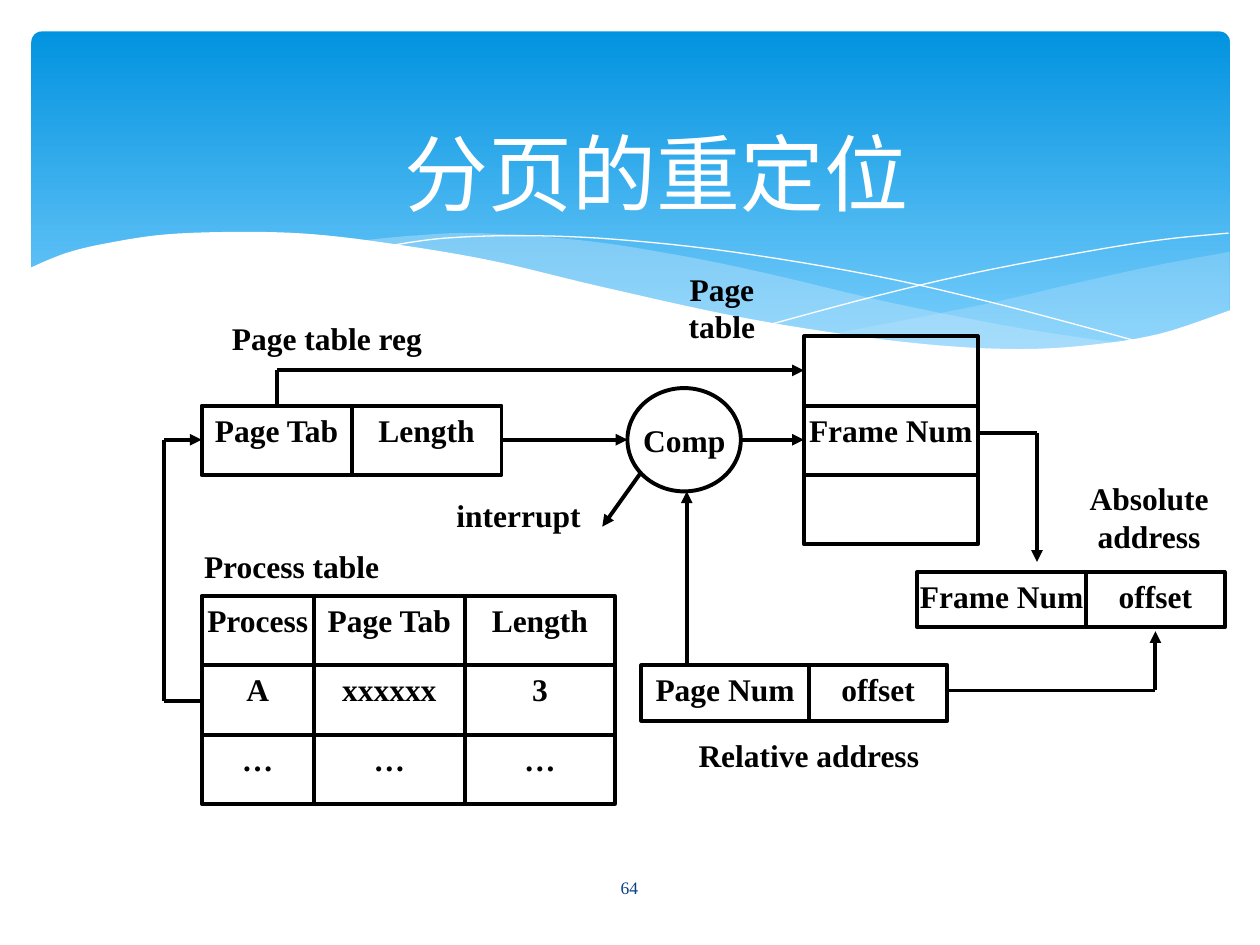
"""Build the slide that shows address relocation under paging."""
from dataclasses import dataclass
from itertools import accumulate
from typing import Optional

from lxml.etree import SubElement
from pptx import Presentation
from pptx.dml.color import RGBColor
from pptx.enum.shapes import MSO_CONNECTOR, MSO_SHAPE
from pptx.enum.text import MSO_ANCHOR, PP_ALIGN
from pptx.oxml.ns import qn
from pptx.util import Inches, Pt

BLACK = RGBColor(0x00, 0x00, 0x00)
WHITE = RGBColor(0xFF, 0xFF, 0xFF)
NAVY = RGBColor(0x07, 0x3E, 0x87)
SKY_TOP = RGBColor(0x02, 0x93, 0xE0)
SKY_BOTTOM = RGBColor(0x83, 0xD3, 0xFE)
MIST = RGBColor(0xC6, 0xE7, 0xFC)

WIDTH, HEIGHT = Inches(10), Inches(7.5)
COLS = 100
UNIT = WIDTH / COLS
ROW = 5.5
STEPS = 6

LABEL = {"size": Pt(18), "bold": True, "name": "Times New Roman"}
TITLE = {"size": Pt(48), "bold": False, "name": "Times New Roman"}
NUMBER = {"size": Pt(10), "bold": False, "name": "Times New Roman"}

Point = tuple[float, float]


@dataclass(frozen=True)
class Wave:
    """A curved outline, given as edges of knots that meet in corners."""
    edges: tuple[tuple[Point, ...], ...]
    fill: Optional[RGBColor] = None
    opacity: int = 100


@dataclass(frozen=True)
class Grid:
    """A block of bordered cells with shared column widths and row height."""
    left: float
    top: float
    widths: tuple[float, ...]
    height: float
    rows: tuple[tuple[str, ...], ...]


@dataclass(frozen=True)
class Label:
    """Free text in a box."""
    text: str
    left: float
    top: float
    width: float
    height: float


WAVES = (
    Wave((((97.5, 20), (92.1, 21), (86.1, 22.3), (77.9, 24.2), (66.1, 26.5)),
          ((66.1, 26.5), (73.2, 27.4), (80.3, 27.8), (87.2, 27.4),
           (92.8, 26.3), (97.6, 24.7)),
          ((97.6, 24.7), (97.6, 20))), MIST, 29),
    Wave((((89.3, 27.3), (80.7, 26), (70.6, 24), (61.3, 21.8), (54.1, 20.3),
           (46.4, 19.1), (38, 18.5), (32.8, 18.7), (28.6, 19.1)),
          ((28.6, 19.1), (36.2, 20.3), (44.9, 22.2), (56.6, 24.8),
           (65, 26.4), (73.6, 27.5), (81.8, 27.9), (89.3, 27.3))), MIST, 40),
    Wave((((30.9, 19.5), (35.3, 18.9), (41.6, 18.7), (48.9, 19),
           (58.2, 20), (69.5, 21.9), (79.5, 24.2), (90.7, 27.2)),)),
    Wave((((61.3, 25.7), (69.5, 23.5), (77.6, 21.6), (86.6, 19.9),
           (92.4, 19), (97.5, 18.5)),)),
    Wave((((97.7, 24.6), (92, 26.5), (86.3, 27.4), (80.9, 27.7),
           (74.4, 27.4), (66.8, 26.5), (57.9, 25), (47.5, 22.7),
           (39.1, 20.7), (31.5, 19.4), (25, 18.6), (19.3, 18.4),
           (13.2, 18.6), (8.5, 19.3), (5.2, 20.1), (2.3, 21.3)),
          ((2.3, 21.3), (2.3, 32.9)),
          ((2.3, 32.9), (97.7, 32.9))), WHITE),
)

GRIDS = (
    Grid(16, 32.2, (11.9, 11.9), ROW, (("Page Tab", "Length"),)),
    Grid(16, 47.3, (8.9, 12, 11.9), ROW,
         (("Process", "Page Tab", "Length"),
          ("A", "xxxxxx", "3"),
          ("…", "…", "…"))),
    Grid(63.8, 26.7, (13.8,), ROW, (("",), ("Frame Num",), ("",))),
    Grid(50.9, 52.8, (13.3, 11), 4.4, (("Page Num", "offset"),)),
    Grid(72.8, 45.4, (13.4, 11), 4.4, (("Frame Num", "offset"),)),
)

LABELS = (
    Label("Process table", 16, 43, 14.3, 2.8),
    Label("Comp", 50.7, 33, 7.2, 4.2),
    Label("Page table", 52.8, 21, 9, 7.9),
    Label("Page table reg", 16, 24.9, 19.9, 3.1),
    Label("Relative address", 51.6, 58, 25.2, 3.9),
    Label("interrupt", 35.4, 39, 11.5, 5.5),
    Label("Absolute\naddress", 83.9, 37.6, 14.6, 5.5),
)

ROUTES = (
    ((54.5, 52.8), (54.5, 39)),
    ((39.9, 34.9), (49.8, 34.9)),
    ((58.8, 34.9), (63.8, 34.9)),
    ((77.6, 34.4), (82.3, 34.4), (82.3, 44.6)),
    ((75.2, 54.8), (91.7, 54.8), (91.7, 50.1)),
    ((22, 32.2), (22, 29.4), (63.8, 29.4)),
    ((16, 55.6), (13, 55.6), (13, 34.9), (16, 34.9)),
    ((50.8, 37.6), (47.8, 41.8)),
)


def emu(*lengths: float) -> list[int]:
    """Turn grid units into slide lengths."""
    return [round(n * UNIT) for n in lengths]


def curve(knots: tuple[Point, ...]) -> list[Point]:
    """Sample a smooth curve through the knots."""
    if len(knots) == 2:
        return list(knots)
    pts = (knots[0], *knots, knots[-1])
    out = [knots[0]]
    for a, b, c, d in zip(pts, pts[1:], pts[2:], pts[3:]):
        for i in range(1, STEPS + 1):
            t = i / STEPS
            out.append(tuple(
                q + t / 2 * (r - p + t * (2 * p - 5 * q + 4 * r - s
                                          + t * (3 * (q - r) + s - p)))
                for p, q, r, s in zip(a, b, c, d)))
    return out


def write(sp, text: str, fmt: dict, color: RGBColor, anchor=MSO_ANCHOR.TOP) -> None:
    """Put centred text in a shape."""
    tf = sp.text_frame
    frame = {"word_wrap": True, "vertical_anchor": anchor, "margin_left": 0,
             "margin_right": 0, "margin_top": Inches(0.04), "margin_bottom": Inches(0.04)}
    for key, value in frame.items():
        setattr(tf, key, value)
    for i, line in enumerate(text.split("\n")):
        p = tf.add_paragraph() if i else tf.paragraphs[0]
        p.alignment = PP_ALIGN.CENTER
        r = p.add_run()
        r.text = line
        for key, value in fmt.items():
            setattr(r.font, key, value)
        r.font.color.rgb = color


def outline(sp, color: RGBColor = BLACK, width: float = 2.25) -> None:
    """Give a shape a plain line and no shadow."""
    sp.shadow.inherit = False
    sp.line.color.rgb = color
    sp.line.width = Pt(width)


def draw_sky(s) -> None:
    """Draw the gradient panel behind the title."""
    sp = s.shapes.add_shape(MSO_SHAPE.ROUNDED_RECTANGLE, *emu(2.5, 2.5, 95.1, 27))
    sp.adjustments[0] = 0.03
    sp.shadow.inherit = False
    sp.line.fill.background()
    sp.fill.gradient()
    sp.fill.gradient_angle = 270
    for stop, color, at in zip(sp.fill.gradient_stops, (SKY_TOP, SKY_BOTTOM), (0, 1)):
        stop.color.rgb = color
        stop.position = at


def draw_wave(s, wave: Wave) -> None:
    """Draw a filled wave or a hairline curve."""
    pts = [tuple(emu(*pt)) for edge in wave.edges for pt in curve(edge)]
    fb = s.shapes.build_freeform(*pts[0])
    fb.add_line_segments(pts[1:], close=wave.fill is not None)
    sp = fb.convert_to_shape()
    outline(sp, WHITE, 0)
    if wave.fill is None:
        sp.fill.background()
        return
    sp.line.fill.background()
    sp.fill.solid()
    sp.fill.fore_color.rgb = wave.fill
    if wave.opacity < 100:
        clr = sp._element.spPr.find(qn("a:solidFill"))[0]
        SubElement(clr, qn("a:alpha"), val=str(wave.opacity * 1000))


def draw_box(s, kind: MSO_SHAPE, box: tuple[float, ...], text: str = "") -> None:
    """Draw an unfilled black outline with optional text."""
    sp = s.shapes.add_shape(kind, *emu(*box))
    outline(sp)
    sp.fill.background()
    if text:
        write(sp, text, LABEL, BLACK)


def draw_grid(s, grid: Grid) -> None:
    """Draw every cell of a grid."""
    lefts = accumulate(grid.widths, initial=grid.left)
    columns = list(zip(lefts, grid.widths))
    for i, row in enumerate(grid.rows):
        for (left, width), text in zip(columns, row):
            box = (left, grid.top + i * grid.height, width, grid.height)
            draw_box(s, MSO_SHAPE.RECTANGLE, box, text)


def draw_label(s, label: Label, fmt: dict = LABEL, color: RGBColor = BLACK,
               anchor=MSO_ANCHOR.TOP) -> None:
    """Draw a text box."""
    box = emu(label.left, label.top, label.width, label.height)
    write(s.shapes.add_textbox(*box), label.text, fmt, color, anchor)


def draw_route(s, route: tuple[Point, ...]) -> None:
    """Draw straight lines along a route, with an arrowhead at its end."""
    for start, end in zip(route, route[1:]):
        c = s.shapes.add_connector(MSO_CONNECTOR.STRAIGHT, *emu(*start, *end))
        c.line.color.rgb = BLACK
        c.line.width = Pt(2.25)
        if end == route[-1]:
            SubElement(c.line._get_or_add_ln(), qn("a:tailEnd"), type="triangle")
        SubElement(c._element.spPr, qn("a:effectLst"))


def main() -> None:
    """Build and save the slide."""
    prs = Presentation()
    prs.slide_width, prs.slide_height = WIDTH, HEIGHT
    s = prs.slides.add_slide(prs.slide_layouts[6])
    draw_sky(s)
    for wave in WAVES:
        draw_wave(s, wave)
    draw_label(s, Label("分页的重定位", 9.2, 9, 85.8, 9.3), TITLE, WHITE, MSO_ANCHOR.MIDDLE)
    for grid in GRIDS:
        draw_grid(s, grid)
    draw_box(s, MSO_SHAPE.OVAL, (49.8, 30.8, 9, 8.2))
    for label in LABELS:
        draw_label(s, label)
    for route in ROUTES:
        draw_route(s, route)
    draw_label(s, Label("64", 43.6, 68.4, 12.7, 4), NUMBER, NAVY, MSO_ANCHOR.MIDDLE)
    prs.save("out.pptx")


if __name__ == "__main__":
    main()
